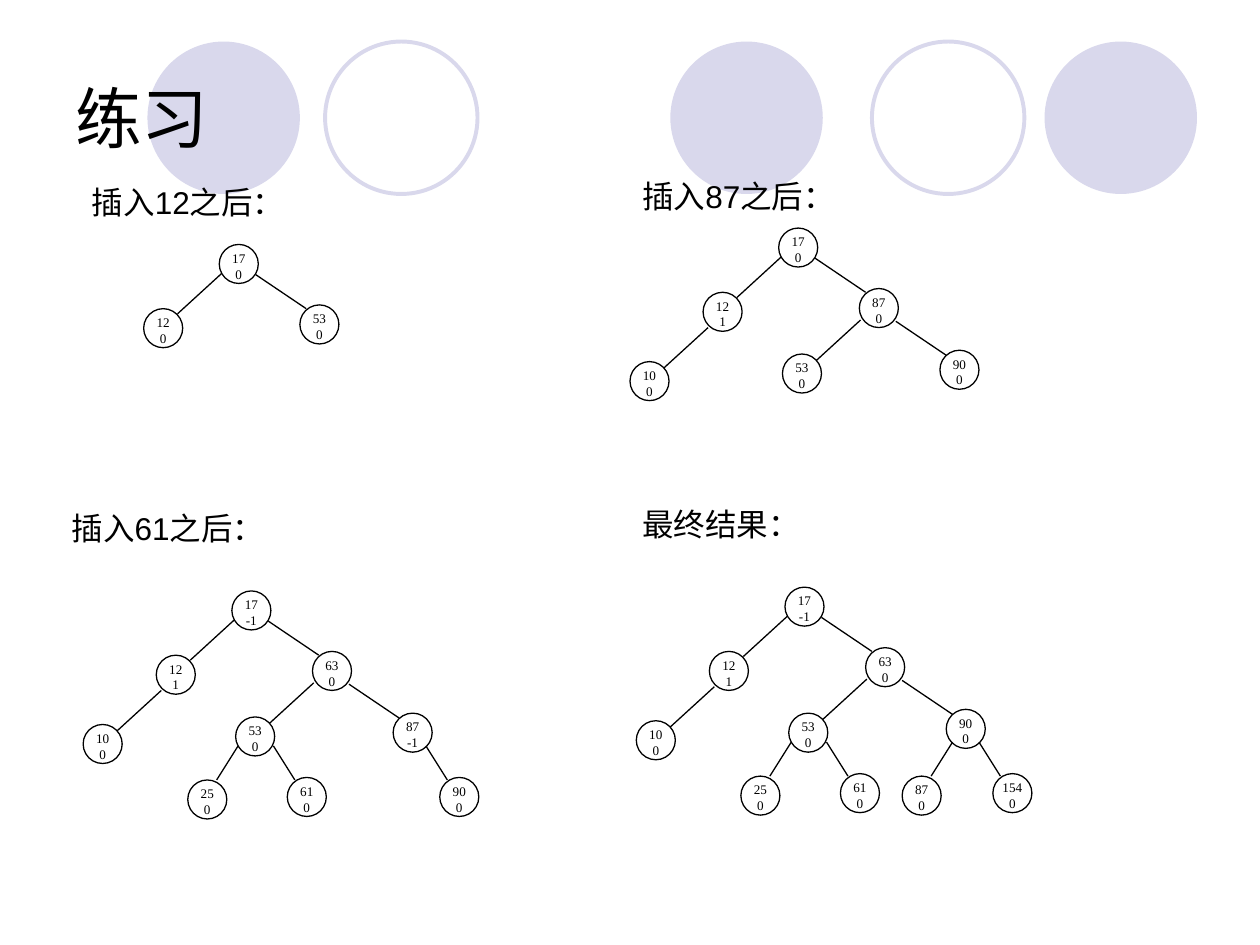
"""Build the balanced binary tree insertion exercise slide."""
import pptx
import pptx.dml.color
import pptx.enum.lang
import pptx.enum.shapes
import pptx.enum.text
import pptx.oxml
import pptx.oxml.ns
import pptx.util
from pptx.util import Inches

BLACK = pptx.dml.color.RGBColor(0x00, 0x00, 0x00)
WHITE = pptx.dml.color.RGBColor(0xFF, 0xFF, 0xFF)
LAVENDER = pptx.dml.color.RGBColor(0xD9, 0xD8, 0xEC)

NODE_SIZE = 0.31
CIRCLE_SIZE = 1.21
LEFT, RIGHT = (-0.35, 0.32), (0.4, 0.27)
SHORT_LEFT, SHORT_RIGHT = (-0.17, 0.27), (0.17, 0.27)

# Each position holds the node offset, edge start and edge vector, from the root.
POSITIONS = {
    "root": ((0, 0), None, None),
    "L": ((-0.6, 0.51), (0.02, 0.23), LEFT),
    "R": ((0.64, 0.48), (0.29, 0.24), RIGHT),
    "LL": ((-1.18, 1.06), (-0.56, 0.79), LEFT),
    "RL": ((0.03, 1), (0.65, 0.73), LEFT),
    "RR": ((1.28, 0.97), (0.93, 0.74), RIGHT),
    "RLL": ((-0.35, 1.5), (0.05, 1.23), SHORT_LEFT),
    "RLR": ((0.44, 1.48), (0.33, 1.23), SHORT_RIGHT),
    "RRL": ((0.93, 1.5), (1.33, 1.23), SHORT_LEFT),
    "RRR": ((1.65, 1.48), (1.54, 1.23), SHORT_RIGHT),
}

TREES = [
    ("插入12之后：", (0.63, 1.4), (1.74, 1.94),
     {"root": (17, 0), "L": (12, 0), "R": (53, 0)}),
    ("插入87之后：", (5, 1.36), (6.18, 1.81),
     {"root": (17, 0), "L": (12, 1), "R": (87, 0), "LL": (10, 0),
      "RL": (53, 0), "RR": (90, 0)}),
    ("插入61之后：", (0.47, 3.99), (1.84, 4.69),
     {"root": (17, -1), "L": (12, 1), "R": (63, 0), "LL": (10, 0),
      "RL": (53, 0), "RR": (87, -1), "RLL": (25, 0), "RLR": (61, 0),
      "RRR": (90, 0)}),
    ("最终结果：", (5, 3.96), (6.23, 4.66),
     {"root": (17, -1), "L": (12, 1), "R": (63, 0), "LL": (10, 0),
      "RL": (53, 0), "RR": (90, 0), "RLL": (25, 0), "RLR": (61, 0),
      "RRL": (87, 0), "RRR": (154, 0)}),
]


def write_text(frame, lines, size, font="Arial", alignment=pptx.enum.text.PP_ALIGN.LEFT,
               anchor=pptx.enum.text.MSO_ANCHOR.TOP):
    frame.word_wrap = True
    frame.vertical_anchor = anchor
    for index, line in enumerate(lines):
        paragraph = frame.add_paragraph() if index else frame.paragraphs[0]
        paragraph.alignment = alignment
        run = paragraph.add_run()
        run.text = line
        run.font.name = font
        run.font.size = pptx.util.Pt(size)
        run.font.color.rgb = BLACK
        run.font.language_id = pptx.enum.lang.MSO_LANGUAGE_ID.SIMPLIFIED_CHINESE


def add_text_box(slide, left, top, width, height, text, **text_format):
    shape = slide.shapes.add_textbox(
        Inches(left), Inches(top), Inches(width), Inches(height))
    write_text(shape.text_frame, [text], **text_format)


def add_circle(slide, left, top, size, fill=None, line=None, line_width=0.75):
    shape = slide.shapes.add_shape(
        pptx.enum.shapes.MSO_SHAPE.OVAL,
        Inches(left), Inches(top), Inches(size), Inches(size))
    shape.shadow.inherit = False
    if fill is None:
        shape.fill.background()
    else:
        shape.fill.solid()
        shape.fill.fore_color.rgb = fill
    if line is None:
        shape.line.fill.background()
    else:
        shape.line.color.rgb = line
        shape.line.width = pptx.util.Pt(line_width)
    return shape


def add_edge(slide, start, vector):
    connector = slide.shapes.add_connector(
        pptx.enum.shapes.MSO_CONNECTOR.STRAIGHT,
        Inches(start[0]), Inches(start[1]),
        Inches(start[0] + vector[0]), Inches(start[1] + vector[1]))
    connector.line.color.rgb = BLACK
    connector.line.width = pptx.util.Pt(0.75)
    properties = connector._element.spPr
    properties.append(pptx.oxml.parse_xml(
        f"<a:effectLst {pptx.oxml.ns.nsdecls('a')}/>"))


def add_node(slide, left, top, key, balance):
    frame = add_circle(slide, left, top, NODE_SIZE, line=BLACK).text_frame
    frame.margin_left = frame.margin_right = 0
    frame.margin_top = frame.margin_bottom = 0
    write_text(frame, [str(key), str(balance)], size=7.5, font="Times New Roman",
               alignment=pptx.enum.text.PP_ALIGN.CENTER)


def add_tree(slide, root, nodes):
    for position, (key, balance) in nodes.items():
        offset, start, vector = POSITIONS[position]
        add_node(slide, root[0] + offset[0], root[1] + offset[1], key, balance)
        if start:
            add_edge(slide, (root[0] + start[0], root[1] + start[1]), vector)


def main():
    presentation = pptx.Presentation()
    presentation.slide_width = Inches(10)
    presentation.slide_height = Inches(7.5)
    slide = presentation.slides.add_slide(presentation.slide_layouts[6])
    slide.background.fill.solid()
    slide.background.fill.fore_color.rgb = WHITE

    for left in (5.32, 8.29, 1.17):
        add_circle(slide, left, 0.33, CIRCLE_SIZE, fill=LAVENDER)
    for left in (6.92, 2.58):
        add_circle(slide, left, 0.33, CIRCLE_SIZE, line=LAVENDER, line_width=2.25)

    add_text_box(slide, 0.5, 0.3, 9, 1.25, "练习", size=38,
                 anchor=pptx.enum.text.MSO_ANCHOR.MIDDLE)
    for label, label_position, root, nodes in TREES:
        add_tree(slide, root, nodes)
        add_text_box(slide, *label_position, 1.65, 0.4, label, size=18)

    presentation.save("out.pptx")


if __name__ == "__main__":
    main()
